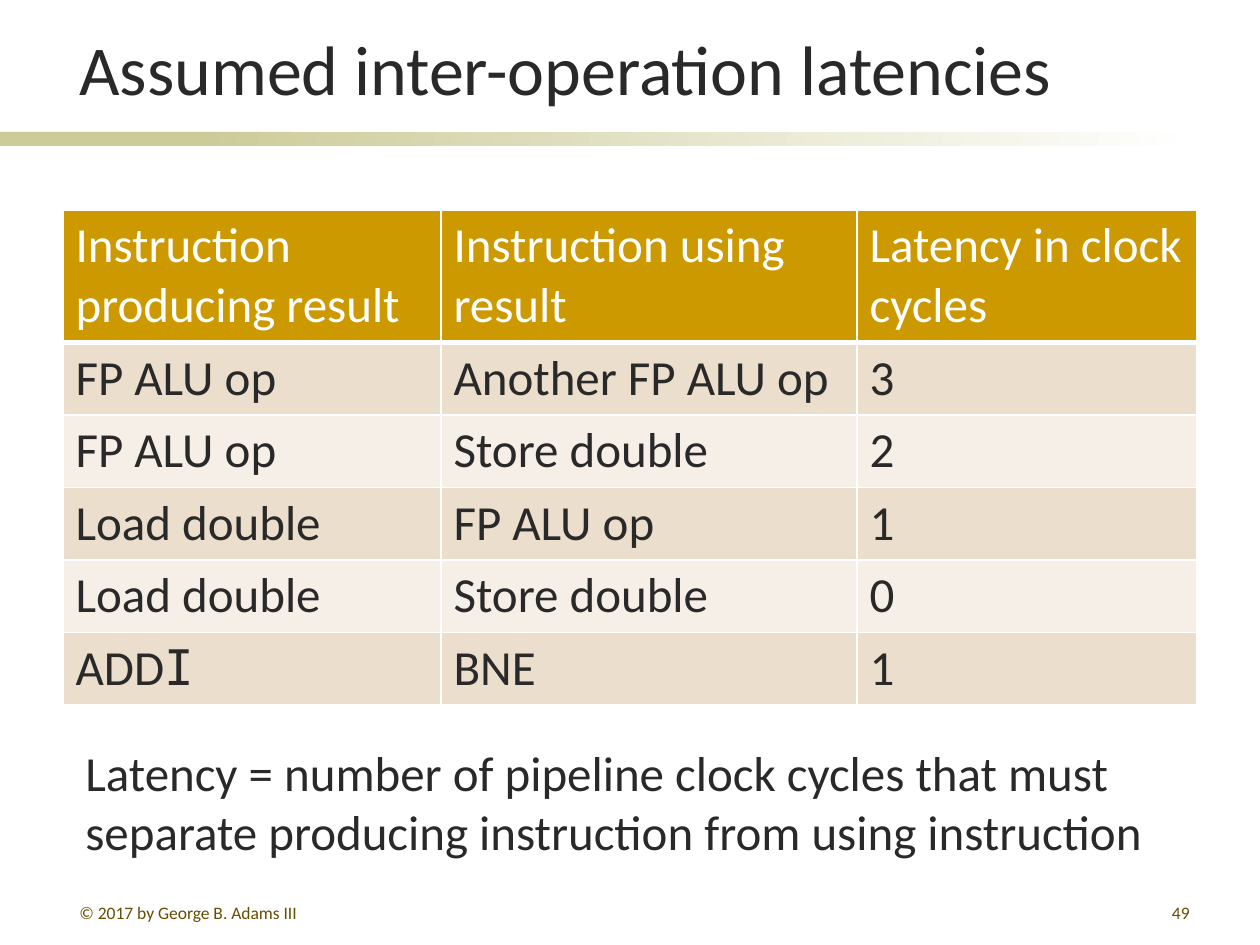
"""Build the slide on assumed inter-operation latencies."""
from lxml import etree
from pptx import Presentation
from pptx import util as u
from pptx.dml.color import RGBColor
from pptx.enum import shapes, text
from pptx.oxml.ns import qn

SANS, MONO = "Calibri", "DejaVu Sans Mono"
INK = RGBColor(0x29, 0x29, 0x29)
WHITE = RGBColor(0xFF, 0xFF, 0xFF)
SAGE = RGBColor(0xCC, 0xCC, 0x99)
GOLD = RGBColor(0xCC, 0x99, 0x00)
BROWN = RGBColor(0x66, 0x4D, 0x00)
BANDS = [RGBColor(0xF6, 0xEF, 0xE7), RGBColor(0xEC, 0xDE, 0xCC)]

TOP, LOW = text.MSO_ANCHOR.TOP, text.MSO_ANCHOR.BOTTOM
LEFT, RIGHT = text.PP_ALIGN.LEFT, text.PP_ALIGN.RIGHT

NOTES = [
    ("Assumed inter-operation latencies", (67, 14, 1135, 102), 40, INK, LOW, LEFT),
    ("Latency = number of pipeline clock cycles that must separate "
     "producing instruction from using instruction",
     (73, 736, 1124, 131), 28, INK, TOP, LEFT),
    ("© 2017 by George B. Adams III", (67, 896, 273, 26), 10, BROWN, TOP, LEFT),
    ("49", (940, 896, 262, 26), 10, BROWN, TOP, RIGHT),
]
BARS = [((0, 132, 294, 14), False), ((199, 132, 998, 14), True)]
ROWS = [
    ("Instruction producing result", "Instruction using result",
     "Latency in clock cycles"),
    ("FP ALU op", "Another FP ALU op", "3"),
    ("FP ALU op", "Store double", "2"),
    ("Load double", "FP ALU op", "1"),
    ("Load double", "Store double", "0"),
    ([("ADD", SANS), ("I", MONO)], "BNE", "1"),
]
COLS = [378, 416, 340]
LINE = 52


def px(n):
    return u.Emu(n * 914400 // 126)


def write(para, runs, size, tint):
    if isinstance(runs, str):
        runs = [(runs, SANS)]
    for words, face in runs:
        run = para.add_run()
        run.text = words
        run.font.name, run.font.size = face, u.Pt(size)
        run.font.color.rgb = tint


def edge(cell, side, width):
    line = etree.SubElement(cell._tc.get_or_add_tcPr(), qn("a:ln" + side),
                            w=str(u.Pt(width)))
    fill = etree.SubElement(line, qn("a:solidFill"))
    etree.SubElement(fill, qn("a:srgbClr"), val=str(WHITE))


def add_bar(slide, box, fade):
    bar = slide.shapes.add_shape(shapes.MSO_SHAPE.RECTANGLE, *map(px, box))
    bar.shadow.inherit = False
    bar.line.fill.background()
    if fade:
        bar.fill.gradient()
        bar.fill.gradient_angle = 0
        for stop, tint in zip(bar.fill.gradient_stops, (SAGE, WHITE)):
            stop.color.rgb = tint
    else:
        bar.fill.solid()
        bar.fill.fore_color.rgb = SAGE


def add_note(slide, words, box, size, tint, anchor, align):
    frame = slide.shapes.add_textbox(*map(px, box)).text_frame
    frame.word_wrap = True
    frame.vertical_anchor = anchor
    frame.paragraphs[0].alignment = align
    write(frame.paragraphs[0], words, size, tint)


def add_grid(slide):
    table = slide.shapes.add_table(
        len(ROWS), len(COLS), px(63), px(210), px(sum(COLS)),
        px(LINE * len(ROWS))).table
    for col, wide in zip(table.columns, COLS):
        col.width = px(wide)
    for r, row in enumerate(ROWS):
        table.rows[r].height = px(LINE)
        for c, words in enumerate(row):
            cell = table.cell(r, c)
            for side in "LRTB":
                edge(cell, side, 3 if r == 0 and side == "B" else 1)
            cell.fill.solid()
            cell.fill.fore_color.rgb = BANDS[r % 2] if r else GOLD
            para = cell.text_frame.paragraphs[0]
            para.font.bold = False
            write(para, words, 28, INK if r else WHITE)
            for run in para.runs:
                run.font.bold = False


def main():
    deck = Presentation()
    deck.slide_width, deck.slide_height = px(1260), px(945)
    slide = deck.slides.add_slide(deck.slide_layouts[6])
    for bar in BARS:
        add_bar(slide, *bar)
    add_grid(slide)
    for note in NOTES:
        add_note(slide, *note)
    deck.save("out.pptx")


if __name__ == "__main__":
    main()
